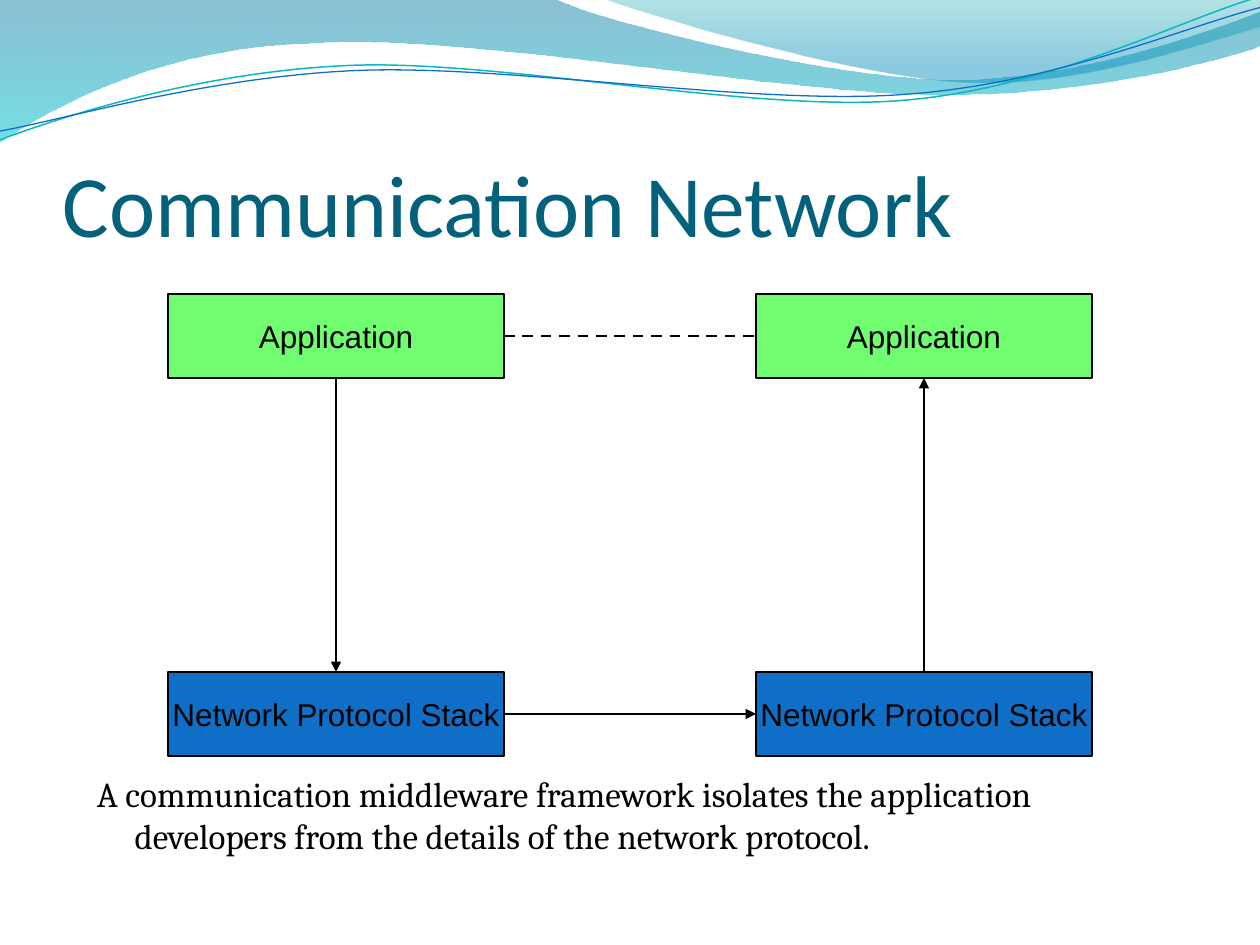
from lxml import etree
from pptx import Presentation
from pptx.dml.color import RGBColor
from pptx.enum.dml import MSO_LINE
from pptx.enum.shapes import MSO_CONNECTOR, MSO_SHAPE
from pptx.enum.text import MSO_ANCHOR, PP_ALIGN
from pptx.oxml.ns import qn
from pptx.util import Inches, Pt

RECT, STRAIGHT, DASH = MSO_SHAPE.RECTANGLE, MSO_CONNECTOR.STRAIGHT, MSO_LINE.DASH
MIDDLE, BOTTOM, CENTER = MSO_ANCHOR.MIDDLE, MSO_ANCHOR.BOTTOM, PP_ALIGN.CENTER

BLACK = RGBColor(0x00, 0x00, 0x00)
WHITE = RGBColor(0xFF, 0xFF, 0xFF)
TITLE_TEAL = RGBColor(0x04, 0x61, 0x7B)
GREEN = RGBColor(0x70, 0xFE, 0x70)
BLUE = RGBColor(0x0F, 0x6F, 0xC6)
AQUA = RGBColor(0x0A, 0xB8, 0xBF)
WAVE_TOP = RGBColor(0x00, 0x74, 0xA1)
WAVE_BOTTOM = RGBColor(0x00, 0xC6, 0xCF)
SWEEP_TOP = RGBColor(0x00, 0xA1, 0xA9)
SWEEP_BOTTOM = RGBColor(0x00, 0x8B, 0xBF)

prs = Presentation()
prs.slide_width, prs.slide_height = Inches(10), Inches(7.5)
slide = prs.slides.add_slide(prs.slide_layouts[6])
slide.background.fill.solid()
slide.background.fill.fore_color.rgb = WHITE
shapes = slide.shapes


def add_curve(start, segments, closed):
    """Draw an outline from line (2 numbers) and Bezier (6 numbers) segments."""
    builder = shapes.build_freeform(Inches(start[0]), Inches(start[1]))
    builder.add_line_segments(
        [(Inches(seg[-2]), Inches(seg[-1])) for seg in segments], close=closed)
    s = builder.convert_to_shape()
    s.shadow.inherit = False
    # Turn the straight steps of Bezier segments into cubic curves
    for step, seg in zip(list(s.element.iter(qn("a:lnTo"))), segments):
        if len(seg) == 6:
            curve = etree.Element(qn("a:cubicBezTo"))
            for x, y in zip(seg[::2], seg[1::2]):
                pt = etree.SubElement(curve, qn("a:pt"))
                pt.set("x", str(Inches(x) - s.left))
                pt.set("y", str(Inches(y) - s.top))
            step.getparent().replace(step, curve)
    return s


def set_text(s, text, font, size, color):
    p = s.text_frame.paragraphs[0]
    r = p.add_run()
    r.text = text
    r.font.name, r.font.size = font, Pt(size)
    r.font.color.rgb = color
    return p


# Filled waves: start, segments, gradient stops (position, colour, opacity %)
waves = [
    ((0, 0),
     [(4.4, -0.01), (4.76, 0.17, 6.64, 0.63, 7.58, 0.63),
      (8.53, 0.63, 9.58, 0.26, 10, 0.09), (10.01, 0.36),
      (9.83, 0.44, 8.7, 0.76, 7.46, 0.75),
      (6.22, 0.75, 3.82, 0.28, 2.57, 0.34),
      (1.29, 0.36, 0.46, 0.83, -0.01, 1.13)],
     [(0, WAVE_TOP, 45), (1, WAVE_BOTTOM, 55)]),
    ((4.79, -0.01),
     [(5.09, 0.11, 6.82, 0.62, 7.69, 0.65),
      (8.56, 0.69, 9.61, 0.32, 10, 0.21), (10, 0)],
     [(0, SWEEP_TOP, 30), (0.8, SWEEP_BOTTOM, 45)]),
]
for start, segments, stops in waves:
    s = add_curve(start, segments, True)
    s.line.fill.background()
    s.fill.gradient()
    s.fill.gradient_angle = 270
    for stop, (position, color, opacity) in zip(s.fill.gradient_stops, stops):
        stop.position = position
        stop.color.rgb = color
    for clr, (position, color, opacity) in zip(s.element.iter(qn("a:srgbClr")), stops):
        etree.SubElement(clr, qn("a:alpha")).set("val", str(opacity * 1000))

# Thin wave lines
wave_lines = [
    ((0, 1.11),
     [(0.48, 0.93, 1.58, 0.57, 2.77, 0.52), (3.95, 0.47, 5.93, 0.89, 7.13, 0.8),
      (8.33, 0.71, 9.38, 0.15, 9.98, -0.02)], AQUA, 0.85),
    ((0, 1.04),
     [(0.47, 0.96, 1.64, 0.61, 2.83, 0.56), (4.03, 0.51, 5.97, 0.84, 7.17, 0.75),
      (8.36, 0.67, 9.41, 0.21, 10, 0.06)], BLUE, 0.75),
]
for start, segments, color, width in wave_lines:
    s = add_curve(start, segments, False)
    s.fill.background()
    s.line.color.rgb = color
    s.line.width = Pt(width)

# Title
s = shapes.add_textbox(Inches(0.5), Inches(0.77), Inches(9), Inches(1.25))
title_format = {"word_wrap": True, "vertical_anchor": BOTTOM, "margin_left": 0,
                "margin_right": 0, "margin_bottom": 0}
for name, value in title_format.items():
    setattr(s.text_frame, name, value)
set_text(s, "Communication Network", "Calibri", 50, TITLE_TEAL)

# Caption with hanging indent
s = shapes.add_textbox(Inches(0.67), Inches(6.08), Inches(8.5), Inches(4.5))
s.text_frame.word_wrap = True
p = set_text(s, "A communication middleware framework isolates the application "
             "developers from the details of the network protocol.",
             "Cambria", 20, BLACK)
pPr = p._p.get_or_add_pPr()
pPr.set("marL", str(Inches(0.3)))
pPr.set("indent", str(Inches(-0.3)))

# Two hosts on a grid of thirds, each with an application above a protocol stack
box_w, box_h = 8 / 3, 2 / 3
left_x, right_x = 4 / 3, 6
app_y, stack_y = 7 / 3, 16 / 3
for label, y, color in [("Application", app_y, GREEN),
                        ("Network Protocol Stack", stack_y, BLUE)]:
    for x in (left_x, right_x):
        s = shapes.add_shape(RECT, Inches(x), Inches(y), Inches(box_w), Inches(box_h))
        s.shadow.inherit = False
        s.fill.solid()
        s.fill.fore_color.rgb = color
        s.line.color.rgb = BLACK
        s.line.width = Pt(0.75)
        s.text_frame.word_wrap = False
        s.text_frame.vertical_anchor = MIDDLE
        set_text(s, label, "Arial", 18, BLACK).alignment = CENTER

# Data path arrows and the dashed logical link
left_mid, right_mid = left_x + box_w / 2, right_x + box_w / 2
app_mid, stack_mid = app_y + box_h / 2, stack_y + box_h / 2
app_bottom, left_edge = app_y + box_h, left_x + box_w
links = [
    (left_mid, app_bottom, left_mid, stack_y, False),
    (left_edge, stack_mid, right_x, stack_mid, False),
    (right_mid, stack_y, right_mid, app_bottom, False),
    (left_edge, app_mid, right_x, app_mid, True),
]
for x1, y1, x2, y2, dashed in links:
    s = shapes.add_connector(STRAIGHT, Inches(x1), Inches(y1), Inches(x2), Inches(y2))
    s.line.color.rgb = BLACK
    s.line.width = Pt(1.5 if dashed else 0.75)
    if dashed:
        s.line.dash_style = DASH
    else:
        tail = etree.SubElement(s.line._get_or_add_ln(), qn("a:tailEnd"))
        tail.set("type", "triangle")
    etree.SubElement(s.element.spPr, qn("a:effectLst"))

prs.save("out.pptx")
